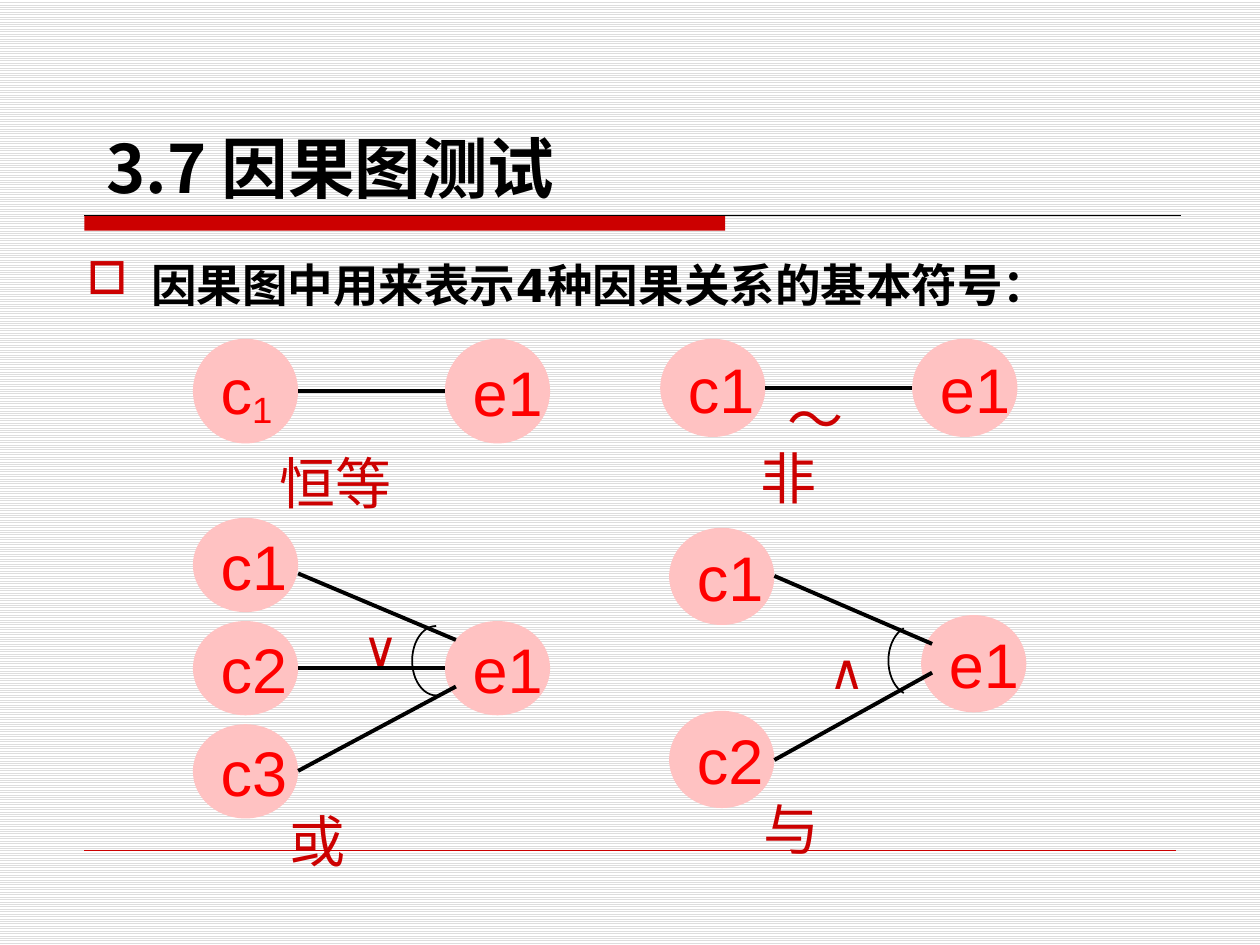
from lxml import etree
from pptx import Presentation
from pptx import util as u
from pptx.dml.color import RGBColor
from pptx.enum import dml, shapes, text
from pptx.oxml.ns import qn

BLACK = RGBColor(0x00, 0x00, 0x00)
WHITE = RGBColor(0xFF, 0xFF, 0xFF)
STRIPE = RGBColor(0xDD, 0xDD, 0xDD)
CRIMSON = RGBColor(0xCC, 0x00, 0x00)
RED = RGBColor(0xFF, 0x00, 0x00)
PINK = RGBColor(0xFF, 0xC2, 0xC2)

CJK_FONT = "Noto Sans CJK SC"
NODE_WIDTH = 2.12
EFFECT_OFFSET = 5.08


def add_text(paragraph, words, font="DejaVu Sans", size=32, color=CRIMSON,
             bold=False, baseline=0):
    run = paragraph.add_run()
    run.text = words
    run.font.name = font
    run.font.size = u.Pt(size)
    run.font.bold = bold
    run.font.color.rgb = color
    properties = run.font._element
    etree.SubElement(properties, qn("a:ea")).set("typeface", CJK_FONT)
    if baseline:
        properties.set("baseline", str(baseline * 1000))


class CauseEffectSlide:
    def __init__(self, deck):
        self.slide = deck.slides.add_slide(deck.slide_layouts[6])
        self.shapes = self.slide.shapes
        backdrop = self.slide.background.fill
        backdrop.patterned()
        backdrop.pattern = dml.MSO_PATTERN.LIGHT_HORIZONTAL
        backdrop.fore_color.rgb = STRIPE
        backdrop.back_color.rgb = WHITE

    def box(self, left, top, width, height, words, **style):
        frame = self.shapes.add_textbox(
            u.Cm(left), u.Cm(top), u.Cm(width), u.Cm(height)).text_frame
        frame.word_wrap = True
        add_text(frame.paragraphs[0], words, **style)
        return frame

    def title(self, words):
        frame = self.box(1.9, 0.91, 22.2, 3.38, words, font=CJK_FONT,
                         size=38, color=BLACK, bold=True)
        frame.vertical_anchor = text.MSO_ANCHOR.BOTTOM

    def bullet(self, words):
        frame = self.box(1.5, 4.72, 21.8, 2.2, words, size=26,
                         color=BLACK, bold=True)
        paragraph = frame.paragraphs[0]
        paragraph.line_spacing = 1.3
        paragraph.alignment = text.PP_ALIGN.JUSTIFY
        properties = paragraph._p.get_or_add_pPr()
        properties.set("marL", str(u.Cm(1.3)))
        properties.set("indent", str(u.Cm(-1.3)))
        tint = etree.SubElement(properties, qn("a:buClr"))
        etree.SubElement(tint, qn("a:srgbClr")).set("val", str(CRIMSON))
        etree.SubElement(properties, qn("a:buChar")).set("char", "□")

    def shape(self, kind, left, top, width, height, fill=None):
        item = self.shapes.add_shape(
            kind, u.Cm(left), u.Cm(top), u.Cm(width), u.Cm(height))
        item.shadow.inherit = False
        item.line.fill.background()
        if fill is None:
            item.fill.background()
        else:
            item.fill.solid()
            item.fill.fore_color.rgb = fill
        return item

    def node(self, left, top, height, name, subscript=""):
        frame = self.shape(shapes.MSO_SHAPE.OVAL, left, top,
                           NODE_WIDTH, height, PINK).text_frame
        frame.word_wrap = False
        frame.vertical_anchor = text.MSO_ANCHOR.MIDDLE
        paragraph = frame.paragraphs[0]
        paragraph.alignment = text.PP_ALIGN.LEFT
        label = dict(font="Arial", size=36, color=RED)
        add_text(paragraph, name, **label)
        if subscript:
            add_text(paragraph, subscript, baseline=-14, **label)

    def line(self, x1, y1, x2, y2, color=BLACK, weight=2.25):
        item = self.shapes.add_connector(
            shapes.MSO_CONNECTOR.STRAIGHT,
            u.Cm(x1), u.Cm(y1), u.Cm(x2), u.Cm(y2))
        item.line.color.rgb = color
        item.line.width = u.Pt(weight)
        etree.SubElement(item._element.spPr, qn("a:effectLst"))

    def arc(self, left, top, start, end):
        """Draw the joining arc clockwise between two angles in degrees."""
        item = self.shape(shapes.MSO_SHAPE.ARC, left, top, 0.97, 1.4)
        item.adjustments[0] = start * 0.6
        item.adjustments[1] = end * 0.6
        item.line.color.rgb = BLACK
        item.line.width = u.Pt(1)

    def relation(self, left, height, causes, effect_top, links):
        """Draw causes (top, name, subscript), their effect and the links
        (start y, distance into the effect, end y)."""
        effect_left = left + EFFECT_OFFSET
        for top, *name in causes:
            self.node(left, top, height, *name)
        self.node(effect_left, effect_top, height, "e1")
        for start, inset, end in links:
            self.line(left + NODE_WIDTH, start, effect_left + inset, end)


def main():
    deck = Presentation()
    deck.slide_width, deck.slide_height = u.Cm(25.4), u.Cm(19.05)
    page = CauseEffectSlide(deck)

    page.shape(shapes.MSO_SHAPE.RECTANGLE, 1.7, 4.34, 12.92, 0.31, CRIMSON)
    page.line(1.7, 4.34, 23.8, 4.34, weight=0.75)
    page.line(1.7, 17.15, 23.7, 17.15, color=CRIMSON, weight=0.25)
    page.title("3.7 因果图测试")
    page.bullet("因果图中用来表示4种因果关系的基本符号：")

    page.relation(3.89, 2.11, [(6.83, "c", "1")], 6.83, [(7.88, 0, 7.88)])
    page.relation(13.31, 1.98, [(6.83, "c1")], 6.83, [(7.82, 0, 7.82)])
    page.relation(3.89, 1.9,
                  [(10.44 + 2.08 * i, f"c{i + 1}") for i in range(3)], 12.52,
                  [(11.56, 0.22, 12.9), (13.46, 0, 13.46),
                   (15.54, 0.22, 13.84)])
    page.relation(13.49, 1.96, [(10.64, "c1"), (14.33, "c2")], 12.4,
                  [(11.61, 0.22, 12.98), (15.32, 0.22, 13.56)])
    page.arc(8.31, 12.62, 80, 270)
    page.arc(17.91, 12.62, 105, 255)

    for left, top, caption in [(5.38, 8.92, "恒等"), (15.08, 8.81, "非"),
                               (5.59, 16.13, "或"), (15.14, 15.9, "与")]:
        page.box(left, top, 3.81, 1.6, caption)
    page.box(15.62, 7.62, 2.34, 1.6, "～")
    for left, top, operator in [(7.06, 12.32, "∨"), (16.46, 12.78, "∧")]:
        page.box(left, top, 1.47, 1.45, operator, size=28)

    deck.save("out.pptx")


if __name__ == "__main__":
    main()
